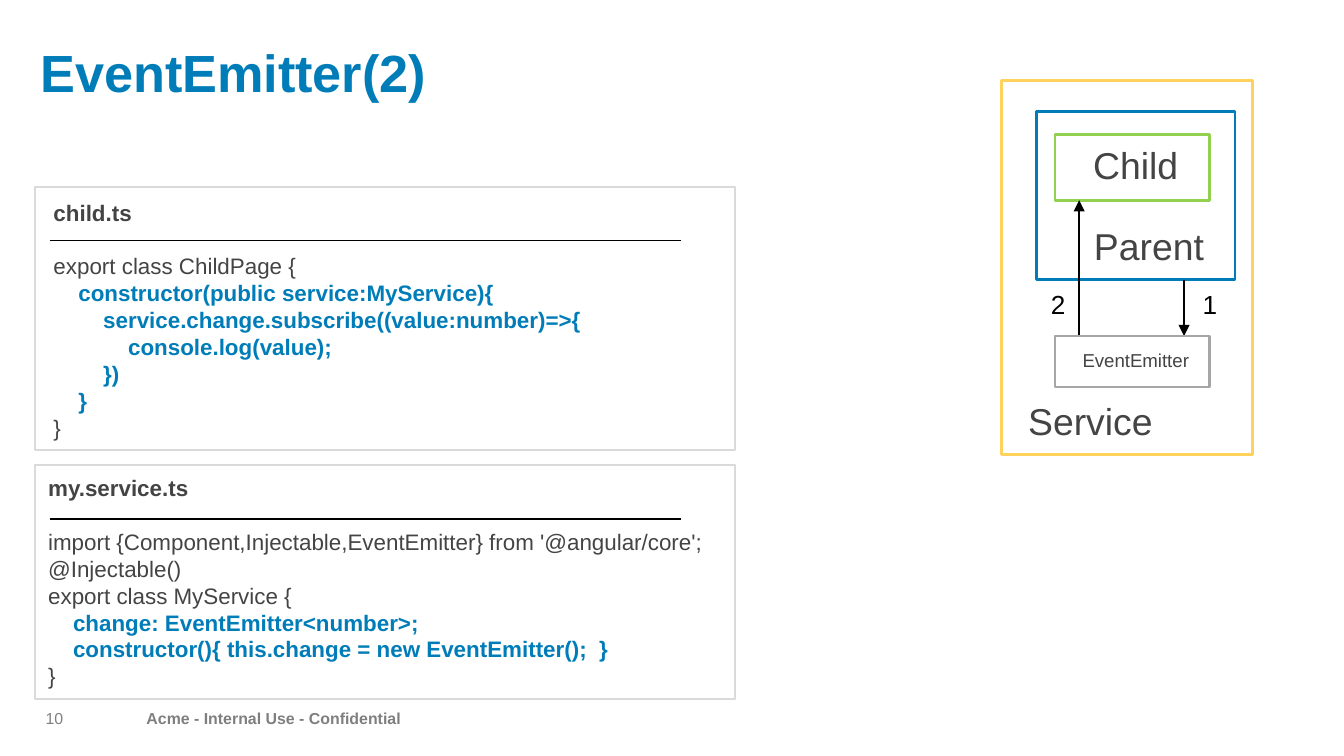
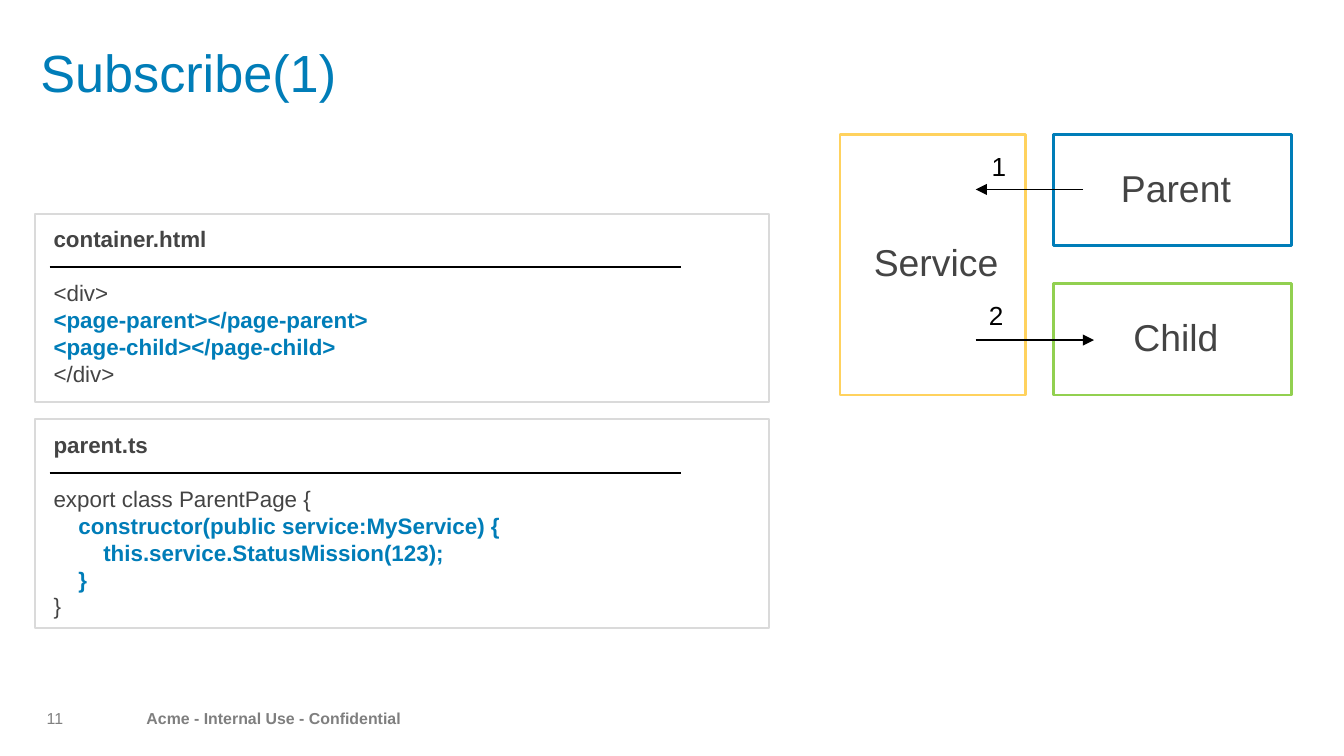
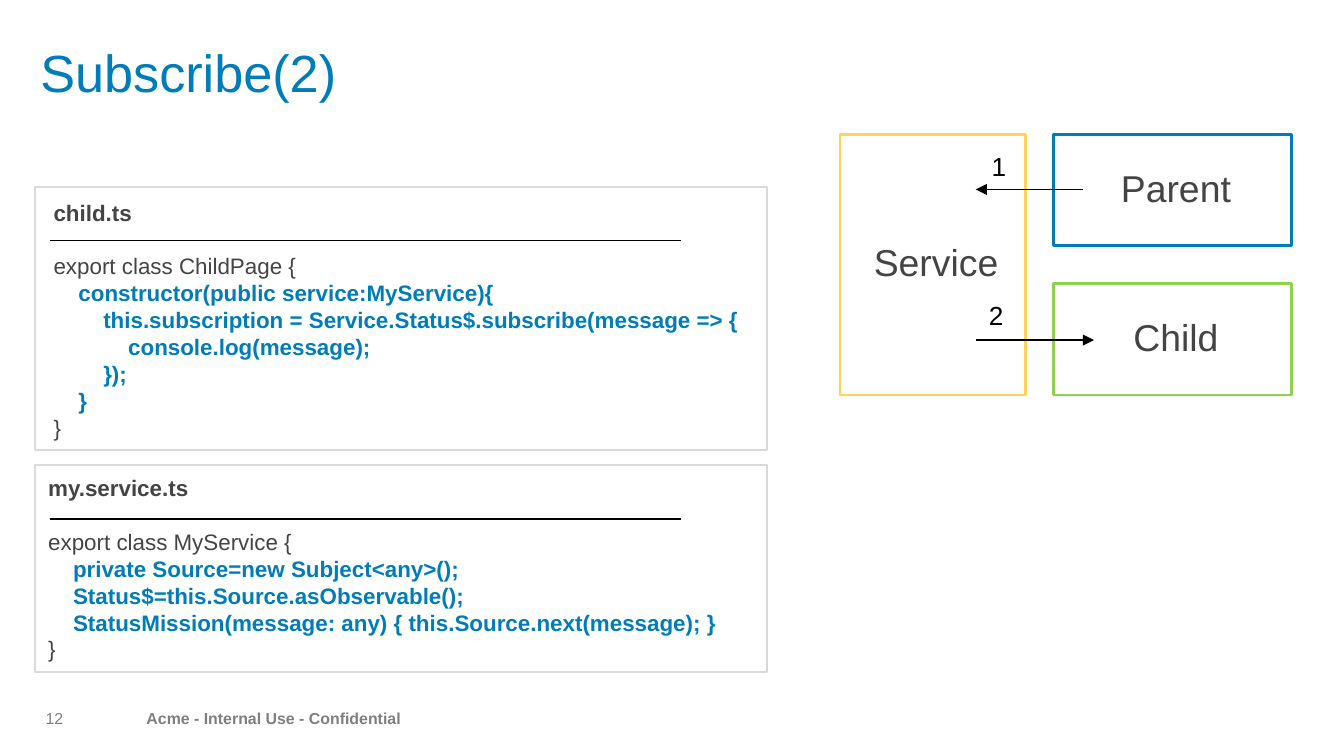
from dataclasses import dataclass

from pptx import Presentation
from pptx import util as u
from pptx.dml import color
from pptx.enum import shapes, text
from pptx.oxml import ns
from lxml import etree


@dataclass(frozen=True)
class Theme:
    font: str = "Arial"
    blue: str = "007DB8"
    green: str = "92D050"
    yellow: str = "FFD25E"
    gray: str = "A6A6A6"
    frame: str = "DADADA"
    body: str = "444444"
    black: str = "000000"
    footer: str = "7F7F7F"
    number: str = "808080"
    title_size: float = 28
    block_size: float = 20
    label_size: float = 14
    code_size: float = 12
    small_size: float = 10
    footer_size: float = 8.5
    code_indent: float = 0.185
    code_pitch: float = 14.4


T = Theme()
LEFT, CENTER, RIGHT = text.PP_ALIGN.LEFT, text.PP_ALIGN.CENTER, text.PP_ALIGN.RIGHT
TOP, MIDDLE, BOTTOM = text.MSO_ANCHOR.TOP, text.MSO_ANCHOR.MIDDLE, text.MSO_ANCHOR.BOTTOM
BLOCK_INSETS = (0.2, 0.15, 0.15, 0.15)
FOOTER_TEXT = "Acme - Internal Use - Confidential"


def rgb(value):
    return color.RGBColor.from_string(value)


def add_run(p, content, size, tint, bold=False):
    r = p.add_run()
    r.text = content
    r.font.name = T.font
    r.font.size = u.Pt(size)
    r.font.bold = bold
    r.font.color.rgb = rgb(tint)


def set_frame(tf, insets, anchor, wrap=True):
    tf.margin_left, tf.margin_top, tf.margin_right, tf.margin_bottom = map(u.Inches, insets)
    tf.vertical_anchor = anchor
    tf.word_wrap = wrap


def add_text(s, box, content, size, tint, bold=False, align=LEFT,
             insets=(0.1, 0.05, 0.1, 0.05), anchor=TOP, wrap=True, spacing=None):
    sp = s.shapes.add_textbox(*map(u.Inches, box))
    set_frame(sp.text_frame, insets, anchor, wrap)
    p = sp.text_frame.paragraphs[0]
    p.alignment = align
    p.line_spacing = spacing
    add_run(p, content, size, tint, bold)


def add_box(s, box, tint, width=1.5):
    sp = s.shapes.add_shape(shapes.MSO_SHAPE.RECTANGLE, *map(u.Inches, box))
    sp.shadow.inherit = False
    sp.fill.background()
    sp.line.color.rgb = rgb(tint)
    sp.line.width = u.Pt(width)
    return sp


def add_block(s, box, name, tint, size=T.block_size, align=CENTER,
              anchor=MIDDLE, insets=BLOCK_INSETS):
    tf = add_box(s, box, tint).text_frame
    set_frame(tf, insets, anchor)
    p = tf.paragraphs[0]
    p.alignment = align
    p.line_spacing = 0.9
    p.space_before = u.Pt(6)
    add_run(p, name, size, T.body)


def add_line(s, start, end, arrow=False):
    line = s.shapes.add_connector(shapes.MSO_CONNECTOR.STRAIGHT, *map(u.Inches, start + end))
    line.line.color.rgb = rgb(T.black)
    line.line.width = u.Pt(1)
    if arrow:
        etree.SubElement(line.line._get_or_add_ln(), ns.qn("a:tailEnd"), type="triangle")
    etree.SubElement(line._element.spPr, ns.qn("a:effectLst"))


def add_label(s, left, top, content):
    add_text(s, (left, top, 0.31, 0.34), content, T.label_size, T.black, wrap=False)


def add_code(s, top, width, height, name, intro, accent, outro, shift=(0.04, 0.04)):
    left = 0.26
    add_box(s, (left, top, width, height), T.frame, 1)
    dx, dy = shift
    sp = s.shapes.add_textbox(*map(u.Inches, (left + dx, top + dy, width - dx, height - dy)))
    tf = sp.text_frame
    tf.word_wrap = True
    p = tf.paragraphs[0]
    p.space_after = u.Pt(T.code_pitch)
    add_run(p, name, T.code_size, T.body, True)
    lines = [(0, line, False) for line in intro]
    lines += [(level, line, True) for level, line in accent]
    lines.append((0, outro, False))
    for level, line, strong in lines:
        p = tf.add_paragraph()
        if level:
            p._p.get_or_add_pPr().set("marL", str(u.Inches(level * T.code_indent)))
        add_run(p, line, T.code_size, T.blue if strong else T.body, strong)
    add_line(s, (0.37, top + 0.4), (5.07, top + 0.4))


def add_page(prs, number, title, bold=False):
    s = prs.slides.add_slide(prs.slide_layouts[6])
    add_text(s, (1.09, 5.29, 2, 0.13), FOOTER_TEXT, T.footer_size, T.footer, True,
             insets=(0, 0, 0, 0), anchor=MIDDLE, spacing=0.9)
    add_text(s, (0.32, 5.29, 0.15, 0.13), str(number), T.footer_size, T.number,
             align=RIGHT, insets=(0, 0, 0, 0), anchor=MIDDLE, spacing=0.9)
    add_text(s, (0.3, 0.3, 8.7, 0.7), title, T.title_size, T.blue, bold,
             insets=(0, 0.05, 0, 0.05), spacing=0.9)
    return s


def add_nested_diagram(s):
    add_block(s, (7.45, 0.6, 1.87, 2.78), "Service", T.yellow, align=LEFT,
              anchor=BOTTOM, insets=(0.2, 0.15, 0.15, 0.08))
    add_block(s, (7.71, 0.83, 1.48, 1.25), "Parent", T.blue, align=RIGHT,
              anchor=BOTTOM, insets=(0.2, 0.15, 0.23, 0.08))
    add_block(s, (7.85, 1, 1.15, 0.49), "Child", T.green)
    add_line(s, (8.81, 2.08), (8.81, 2.5), True)
    add_line(s, (8.03, 2.5), (8.03, 1.49), True)
    add_block(s, (7.85, 2.5, 1.15, 0.38), "EventEmitter", T.gray, T.small_size)
    add_label(s, 8.85, 2.1, "1")
    add_label(s, 7.72, 2.1, "2")


def add_service_diagram(s):
    for i, (name, tint) in enumerate((("Parent", T.blue), ("Child", T.green))):
        add_block(s, (7.84, 1 + i * 1.11, 1.77, 0.83), name, tint)
    add_block(s, (6.25, 1, 1.38, 1.94), "Service", T.yellow)
    add_line(s, (8.06, 1.41), (7.26, 1.41), True)
    add_line(s, (7.26, 2.53), (8.14, 2.53), True)
    add_label(s, 7.28, 1.07, "1")
    add_label(s, 7.26, 2.18, "2")


def add_child_code(s, width, subscribe, log, close):
    accent = [(1, "constructor(public service:MyService){"),
              (2, subscribe), (3, log), (2, close), (1, "}")]
    add_code(s, 1.39, width, 1.96, "child.ts", ["export class ChildPage {"], accent, "}")


def add_service_code(s, width, height, imports, members):
    add_code(s, 3.46, width, height, "my.service.ts",
             imports + ["export class MyService {"],
             [(1, member) for member in members], "}", shift=(0, 0.02))


def event_emitter_page(prs):
    s = add_page(prs, 10, "EventEmitter(2)", True)
    add_nested_diagram(s)
    add_service_code(s, 5.21, 1.74,
                     ["import {Component,Injectable,EventEmitter} from '@angular/core';",
                      "@Injectable()"],
                     ["change: EventEmitter<number>;",
                      "constructor(){ this.change = new EventEmitter();  }"])
    add_child_code(s, 5.21, "service.change.subscribe((value:number)=>{",
                   "console.log(value);", "})")


def subscribe_parent_page(prs):
    s = add_page(prs, 11, "Subscribe(1)")
    add_service_diagram(s)
    add_code(s, 3.12, 5.46, 1.55, "parent.ts", ["export class ParentPage {"],
             [(1, "constructor(public service:MyService) {"),
              (2, "this.service.StatusMission(123);"), (1, "}")], "}")
    add_code(s, 1.59, 5.46, 1.4, "container.html", ["<div>"],
             [(0, "<page-parent></page-parent>"), (0, "<page-child></page-child>")],
             "</div>")


def subscribe_child_page(prs):
    s = add_page(prs, 12, "Subscribe(2)")
    add_service_diagram(s)
    add_service_code(s, 5.45, 1.54, [],
                     ["private Source=new Subject<any>();",
                      "Status$=this.Source.asObservable();",
                      "StatusMission(message: any) { this.Source.next(message); }"])
    add_child_code(s, 5.45, "this.subscription = Service.Status$.subscribe(message => {",
                   "console.log(message);", "});")


def main():
    prs = Presentation()
    prs.slide_width = u.Inches(10)
    prs.slide_height = prs.slide_width * 9 // 16
    event_emitter_page(prs)
    subscribe_parent_page(prs)
    subscribe_child_page(prs)
    prs.save("out.pptx")


main()
